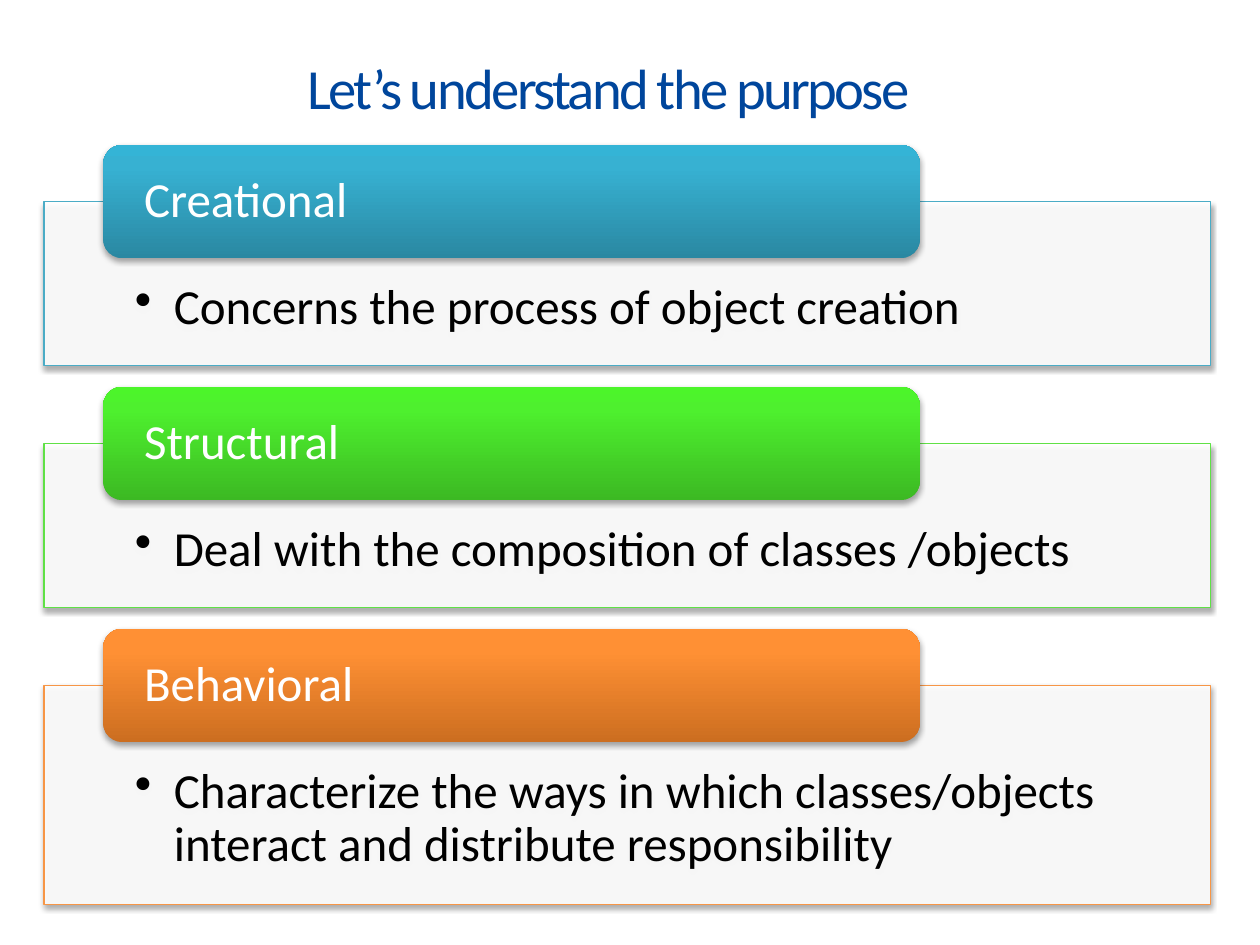
from lxml import etree
from pptx import Presentation, util as u
from pptx.dml.color import RGBColor
from pptx.enum import shapes, text
from pptx.oxml import ns

NAVY = RGBColor(0x00, 0x46, 0x9C)
WHITE = RGBColor(0xFF, 0xFF, 0xFF)
BLACK = RGBColor(0x00, 0x00, 0x00)
TEAL = RGBColor(0x4B, 0xAC, 0xC6)
GREEN = RGBColor(0x60, 0xE1, 0x46)
AMBER = RGBColor(0xF7, 0x96, 0x46)

# Name, purpose, panel line, tab shades from bottom to top, panel height
KINDS = [
    ("Creational", "Concerns the process of object creation", TEAL,
     ("2A88A2", "37B1D2", "34B4D6"), 1.3),
    ("Structural", "Deal with the composition of classes /objects", GREEN,
     ("3CB923", "4EF02E", "4CF52A"), 1.3),
    ("Behavioral", "Characterize the ways in which classes/objects "
     "interact and distribute responsibility", AMBER,
     ("CC6E20", "FF9034", "FF9136"), 1.74),
]
STOPS = (0, 80000, 100000)
TOP, STEP, TAB = 1.15, 1.92, 0.9


def node(root, tag, **attrs):
    return etree.SubElement(root, ns.qn(tag), attrs)


def block(kind, box, words, color, pads):
    """Add a shadowed shape holding one paragraph."""
    shape = slide.shapes.add_shape(kind, *[u.Inches(n) for n in box])
    shape.shadow.inherit = False
    glow = node(shape._element.spPr.find(ns.qn("a:effectLst")), "a:outerShdw",
                blurRad=str(u.Pt(3.1)), dist=str(u.Pt(1.8)), dir="5400000",
                rotWithShape="0")
    node(node(glow, "a:srgbClr", val="000000"), "a:alpha", val="35000")
    frame = shape.text_frame
    frame.word_wrap = True
    (frame.margin_left, frame.margin_top,
     frame.margin_right, frame.margin_bottom) = [u.Inches(n) for n in pads]
    para = frame.paragraphs[0]
    para.alignment = text.PP_ALIGN.LEFT
    para.line_spacing = 0.9
    run = para.add_run()
    run.text = words
    run.font.name, run.font.size = "Calibri", u.Pt(28)
    run.font.color.rgb = color
    return shape


deck = Presentation()
deck.slide_width, deck.slide_height = u.Inches(10), u.Inches(7.5)
slide = deck.slides.add_slide(deck.slide_layouts[5])

# Title
title = slide.shapes.title
title.left, title.top = u.Inches(0.33), u.Inches(0.38)
title.width, title.height = u.Inches(9), u.Inches(0.62)
frame = title.text_frame
frame.auto_size = text.MSO_AUTO_SIZE.NONE
frame.vertical_anchor = text.MSO_ANCHOR.MIDDLE
para = frame.paragraphs[0]
para.alignment = text.PP_ALIGN.CENTER
run = para.add_run()
run.text = "Let’s understand the purpose"
run.font.name, run.font.size = "Calibri", u.Pt(32.4)
run.font.color.rgb = NAVY
run.font._element.set("spc", "-150")

for row, (name, aim, line, shades, high) in enumerate(KINDS):
    top = TOP + row * STEP

    # Panel, starting halfway down its tab
    panel = block(shapes.MSO_SHAPE.RECTANGLE,
                  (0.35, top + TAB / 2, 9.26, high), aim, BLACK,
                  (0.72, 0.64, 0.72, 0.22))
    panel.fill.solid()
    panel.fill.fore_color.rgb = WHITE
    tint = panel._element.spPr.find(ns.qn("a:solidFill"))[0]
    node(tint, "a:alpha", val="90000")
    panel.line.color.rgb = line
    panel.line.width = u.Pt(0.75)
    panel.text_frame.vertical_anchor = text.MSO_ANCHOR.TOP
    para = panel.text_frame.paragraphs[0]
    para.level = 1
    props = para._p.get_or_add_pPr()
    props.set("marL", str(u.Inches(0.31)))
    props.set("indent", str(-u.Inches(0.31)))
    node(props, "a:buChar", char="•")

    # Tab
    tab = block(shapes.MSO_SHAPE.ROUNDED_RECTANGLE, (0.82, top, 6.48, TAB),
                name, WHITE, (0.28, 0.04, 0.28, 0.04))
    tab.fill.gradient()
    tab.fill.gradient_angle = 90
    stops = tab._element.spPr.find(".//" + ns.qn("a:gsLst"))
    for old in list(stops):
        stops.remove(old)
    for spot, shade in zip(STOPS, shades):
        node(node(stops, "a:gs", pos=str(spot)), "a:srgbClr", val=shade)
    tab.line.fill.background()
    tab.text_frame.vertical_anchor = text.MSO_ANCHOR.MIDDLE

deck.save("out.pptx")
